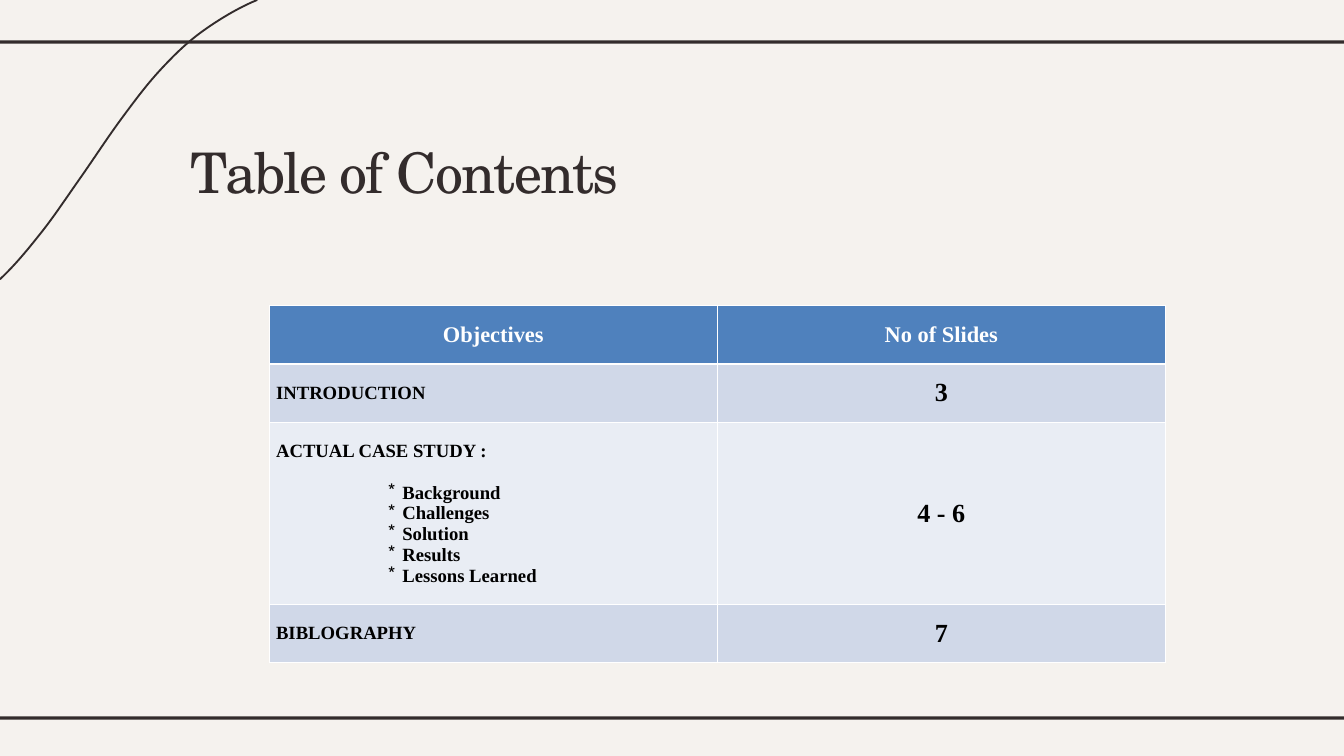
from lxml import etree
from pptx import Presentation
from pptx.dml.color import RGBColor
from pptx.enum.shapes import MSO_SHAPE
from pptx.enum.text import MSO_ANCHOR, MSO_AUTO_SIZE, PP_ALIGN
from pptx.oxml.ns import qn
from pptx.util import Inches, Pt

RECTANGLE = MSO_SHAPE.RECTANGLE
TOP, MIDDLE = MSO_ANCHOR.TOP, MSO_ANCHOR.MIDDLE
LEFT, CENTER = PP_ALIGN.LEFT, PP_ALIGN.CENTER
NO_AUTOFIT = MSO_AUTO_SIZE.NONE

TITLE_ONLY_LAYOUT = 5
CURVE_STEPS = 16
INK, PAPER, WHITE, BLACK = "332C2C", "F5F2EE", "FFFFFF", "000000"
HEADER_FILL, BAND_FILLS = "4F81BD", ("D0D8E8", "E9EDF4")

CURVE_KNOTS = [
    (4.66, -0.2), (3.83, 0), (3.01, 0.47), (2.38, 1.05), (1.8, 1.78),
    (1.19, 2.66), (0.61, 3.47), (0, 4.16), (-0.75, 4.75),
]
CONTENTS = [
    ("Objectives", [], "No of Slides"),
    ("INTRODUCTION", [], "3"),
    ("ACTUAL CASE STUDY :",
     ["Background", "Challenges", "Solution", "Results", "Lessons Learned"],
     "4 - 6"),
    ("BIBLOGRAPHY", [], "7"),
]
ROW_HEIGHTS = [0.87, 0.87, 2.71, 0.87]

TITLE_FONT = {"name": "TeX Gyre Schola", "size": Pt(60), "bold": False}
TABLE_FONT = {"name": "Times New Roman", "bold": True}
HEADER_FONT = {**TABLE_FONT, "size": Pt(24)}
TOPIC_FONT = {**TABLE_FONT, "size": Pt(20)}
NUMBER_FONT = {**TABLE_FONT, "size": Pt(28)}


def color(hex_value):
    """Turn a hex string into a colour."""
    return RGBColor.from_string(hex_value)


def apply_format(target, values):
    """Set every attribute named in a dict of format values."""
    for name, value in values.items():
        setattr(target, name, value)


def smooth_points(knots):
    """Return points on a smooth curve through all knots but the end ones."""
    points = [knots[1]]
    for before, start, end, after in zip(knots, knots[1:], knots[2:], knots[3:]):
        for step in range(1, CURVE_STEPS + 1):
            t = step / CURVE_STEPS
            points.append(tuple(
                b + (t * (c - a) + t ** 2 * (2 * a - 5 * b + 4 * c - d)
                     + t ** 3 * (3 * (b - c) + d - a)) / 2
                for a, b, c, d in zip(before, start, end, after)))
    return points


class ContentsSlide:
    """Hold the slide and draw its elements in one style."""

    def __init__(self, presentation):
        """Add a title slide with a plain paper background."""
        layout = presentation.slide_layouts[TITLE_ONLY_LAYOUT]
        self.slide = presentation.slides.add_slide(layout)
        self.shapes = self.slide.shapes
        background = self.slide.background.fill
        background.solid()
        background.fore_color.rgb = color(PAPER)

    def add_curve(self, knots):
        """Draw an open smooth line."""
        points = [(Inches(x), Inches(y)) for x, y in smooth_points(knots)]
        builder = self.shapes.build_freeform(*points[0], scale=1.0)
        builder.add_line_segments(points[1:], close=False)
        curve = builder.convert_to_shape()
        curve.shadow.inherit = False
        curve.fill.background()
        curve.line.color.rgb = color(INK)
        curve.line.width = Pt(2)

    def add_bar(self, top):
        """Draw a thin bar across the slide."""
        bar = self.shapes.add_shape(
            RECTANGLE, 0, Inches(top), Inches(20.01), Inches(0.05))
        bar.shadow.inherit = False
        bar.fill.solid()
        bar.fill.fore_color.rgb = color(INK)
        bar.line.fill.background()

    def add_title(self, text, left, top, width, height):
        """Place and format the title placeholder."""
        title = self.shapes.title
        apply_format(title, {"left": Inches(left), "top": Inches(top),
                             "width": Inches(width), "height": Inches(height)})
        frame = title.text_frame
        apply_format(frame, {
            "margin_left": 0, "margin_right": 0, "margin_top": Inches(0.01),
            "margin_bottom": 0, "vertical_anchor": TOP, "word_wrap": True,
            "auto_size": NO_AUTOFIT})
        paragraph = frame.paragraphs[0]
        self.add_text(paragraph, text, TITLE_FONT, INK, LEFT)
        paragraph.runs[0].font._element.set("spc", "-190")

    def add_text(self, paragraph, text, font_values, hex_value, alignment):
        """Add one formatted run to a paragraph."""
        paragraph.alignment = alignment
        run = paragraph.add_run()
        run.text = text
        apply_format(run.font, font_values)
        run.font.color.rgb = color(hex_value)

    def add_bullets(self, frame, items):
        """Add an indented list marked with asterisks."""
        for index, item in enumerate(items):
            paragraph = frame.add_paragraph()
            properties = paragraph._p.get_or_add_pPr()
            properties.set("marL", str(Inches(1.88)))
            properties.set("indent", str(-Inches(0.21)))
            etree.SubElement(properties, qn("a:buChar"), char="*")
            if index == 0:
                paragraph.space_before = Pt(23)
            self.add_text(paragraph, item, TOPIC_FONT, BLACK, LEFT)

    def style_cell(self, cell, fill, top_width, bottom_width):
        """Give a cell its borders, fill and anchor."""
        properties = cell._tc.get_or_add_tcPr()
        widths = {"lnL": 1, "lnR": 1, "lnT": top_width, "lnB": bottom_width}
        for side, width in widths.items():
            border = etree.SubElement(properties, qn("a:" + side), w=str(Pt(width)))
            solid = etree.SubElement(border, qn("a:solidFill"))
            etree.SubElement(solid, qn("a:srgbClr"), val=WHITE)
        cell.fill.solid()
        cell.fill.fore_color.rgb = color(fill)
        cell.vertical_anchor = MIDDLE

    def add_table(self, rows, heights, left, top, width):
        """Add the table of topics and slide numbers."""
        table = self.shapes.add_table(
            len(rows), 2, Inches(left), Inches(top), Inches(width),
            Inches(sum(heights))).table
        table.horz_banding = False
        for index, (topic, items, number) in enumerate(rows):
            table.rows[index].height = Inches(heights[index])
            header = index == 0
            fill = HEADER_FILL if header else BAND_FILLS[(index - 1) % 2]
            ink = WHITE if header else BLACK
            topic_cell, number_cell = table.rows[index].cells
            for cell in (topic_cell, number_cell):
                self.style_cell(cell, fill, 3 if index == 1 else 1, 3 if header else 1)
            self.add_text(topic_cell.text_frame.paragraphs[0], topic,
                          HEADER_FONT if header else TOPIC_FONT, ink,
                          CENTER if header else LEFT)
            self.add_bullets(topic_cell.text_frame, items)
            self.add_text(number_cell.text_frame.paragraphs[0], number,
                          HEADER_FONT if header else NUMBER_FONT, ink, CENTER)


def main():
    """Build the slide and save it."""
    presentation = Presentation()
    presentation.slide_width = Inches(20.01)
    presentation.slide_height = Inches(11.26)
    contents = ContentsSlide(presentation)
    contents.add_curve(CURVE_KNOTS)
    for top in (0.6, 10.67):
        contents.add_bar(top)
    contents.add_title("Table of Contents", 2.84, 2.04, 7.44, 1.02)
    contents.add_table(CONTENTS, ROW_HEIGHTS, 4.01, 4.55, 13.34)
    presentation.save("out.pptx")


if __name__ == "__main__":
    main()
